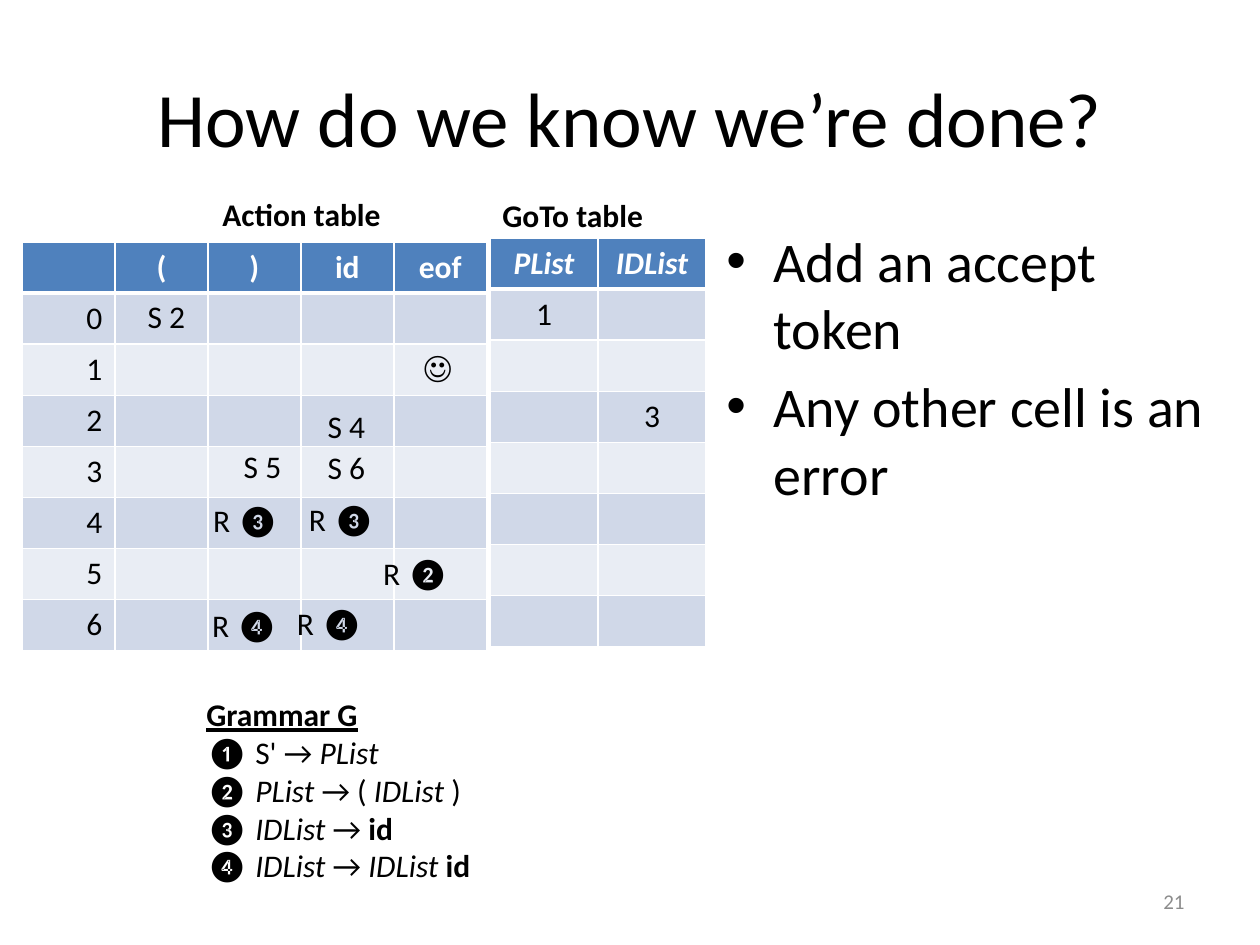
from dataclasses import dataclass

from lxml.etree import SubElement
from pptx import Presentation
from pptx.dml.color import RGBColor
from pptx.enum.text import MSO_ANCHOR as Anchor, MSO_AUTO_SIZE as AutoSize, PP_ALIGN as Align
from pptx.oxml.ns import qn
from pptx.util import Emu, Inches, Pt

PX = 914400 / 126
FONT = "Calibri"
BLACK, WHITE, GREY = "000000", "FFFFFF", "8C8C8C"
HEADER_FILL, BAND_FILLS = "4F81BD", ("D0D8E8", "E9EDF4")
ROW_HEIGHT = 51
STATES = 7


@dataclass(frozen=True)
class Run:
    """A stretch of text with its emphasis."""
    text: str
    bold: bool = False
    italic: bool = False
    underline: bool = False


@dataclass(frozen=True)
class Label:
    """A one-line text box placed in pixels."""
    run: Run
    left: int
    top: int
    width: int
    align: Align = Align.CENTER


@dataclass(frozen=True)
class ParseTable:
    """A parser table; entries map (row, column) to text."""
    left: int
    top: int
    column_width: int
    headers: tuple[Run, ...]
    entries: dict[tuple[int, int], str]
    align: Align


def px(length: int) -> Emu:
    """Turn pixels into EMU."""
    return Emu(round(length * PX))


def color(value: str) -> RGBColor:
    """Read a hex colour."""
    return RGBColor.from_string(value)


def write(paragraph, runs: tuple[Run, ...], size: int = 18, ink: str = BLACK,
          align: Align = Align.LEFT) -> None:
    """Add formatted runs to a paragraph."""
    paragraph.alignment = align
    for part in runs:
        run = paragraph.add_run()
        run.text = part.text
        font = run.font
        font.name, font.size = FONT, Pt(size)
        font.bold, font.italic, font.underline = part.bold, part.italic, part.underline
        font.color.rgb = color(ink)


def add_text(slide, left: int, top: int, width: int, height: int, wrap: bool = True):
    """Add an empty text box and return its text frame."""
    frame = slide.shapes.add_textbox(px(left), px(top), px(width), px(height)).text_frame
    frame.word_wrap = wrap
    return frame


def add_label(slide, label: Label) -> None:
    """Draw a one-line label that fits its text."""
    frame = add_text(slide, label.left, label.top, label.width, 50, wrap=False)
    frame.auto_size = AutoSize.SHAPE_TO_FIT_TEXT
    write(frame.paragraphs[0], (label.run,), align=label.align)


def add_borders(cell, bottom: int) -> None:
    """Give a cell white borders, with the bottom width in points."""
    properties = cell._tc.get_or_add_tcPr()
    for side, width in (("L", 1), ("R", 1), ("T", 1), ("B", bottom)):
        line = SubElement(properties, qn(f"a:ln{side}"), w=str(Pt(width)))
        SubElement(SubElement(line, qn("a:solidFill")), qn("a:srgbClr"), val=WHITE)


def add_parse_table(slide, spec: ParseTable) -> None:
    """Draw a header row and one banded row for each parser state."""
    columns = len(spec.headers)
    grid = slide.shapes.add_table(STATES + 1, columns, px(spec.left), px(spec.top),
                                  px(spec.column_width * columns),
                                  px(ROW_HEIGHT * (STATES + 1))).table
    for row in range(STATES + 1):
        for column in range(columns):
            cell = grid.cell(row, column)
            add_borders(cell, bottom=1 if row else 3)
            cell.fill.solid()
            cell.fill.fore_color.rgb = color(BAND_FILLS[(row - 1) % 2] if row else HEADER_FILL)
            paragraph = cell.text_frame.paragraphs[0]
            paragraph.font.size = Pt(18)
            if row == 0 and spec.headers[column].text:
                write(paragraph, (spec.headers[column],), ink=WHITE, align=Align.CENTER)
            elif (row, column) in spec.entries:
                write(paragraph, (Run(spec.entries[row, column]),), align=spec.align)


def add_bullets(slide, points: tuple[str, ...]) -> None:
    """Draw the bulleted remarks."""
    frame = add_text(slide, 714, 220, 514, 662)
    for index, point in enumerate(points):
        paragraph = frame.add_paragraph() if index else frame.paragraphs[0]
        paragraph.space_before = Pt(6.4)
        write(paragraph, (Run(point),), size=32)
        properties = paragraph._p.get_or_add_pPr()
        indent = Inches(0.375)
        properties.set("marL", str(indent))
        properties.set("indent", str(-indent))
        SubElement(properties, qn("a:buFont"), typeface="Arial")
        SubElement(properties, qn("a:buChar"), char="•")


def add_grammar(slide, lines: tuple[tuple[Run, ...], ...]) -> None:
    """Draw the grammar, one line for each rule."""
    frame = add_text(slide, 194, 689, 353, 204)
    frame.auto_size = AutoSize.SHAPE_TO_FIT_TEXT
    for index, line in enumerate(lines):
        write(frame.add_paragraph() if index else frame.paragraphs[0], line)


ACTION_TABLE = ParseTable(
    22, 242, 93, tuple(Run(token, bold=True) for token in ("", "(", ")", "id", "eof")),
    {(state + 1, 0): str(state) for state in range(STATES)}, Align.RIGHT)
GOTO_TABLE = ParseTable(
    490, 238, 108, tuple(Run(symbol, bold=True, italic=True) for symbol in ("PList", "IDList")),
    {(1, 0): "1", (3, 1): "3"}, Align.CENTER)
SHIFT_WIDTH, REDUCE_WIDTH = 63, 92
LABELS = (
    Label(Run("Action table", bold=True), 210, 189, 185, Align.LEFT),
    Label(Run("GoTo table", bold=True), 490, 190, 168, Align.LEFT),
    Label(Run("S 2"), 135, 291, SHIFT_WIDTH),
    Label(Run("S 4"), 315, 401, SHIFT_WIDTH),
    Label(Run("S 6"), 315, 442, SHIFT_WIDTH),
    Label(Run("S 5"), 231, 441, SHIFT_WIDTH),
    Label(Run("R ❸"), 200, 495, REDUCE_WIDTH),
    Label(Run("R ❸"), 296, 494, REDUCE_WIDTH),
    Label(Run("R ❷"), 370, 548, REDUCE_WIDTH),
    Label(Run("R ❹"), 199, 600, REDUCE_WIDTH),
    Label(Run("R ❹"), 284, 598, REDUCE_WIDTH),
    Label(Run("☺"), 411, 341, 52),
)
ARROW = Run("→ ")
ID_LIST = Run("IDList ", italic=True)
ID = Run("id", bold=True)
GRAMMAR = (
    (Run("Grammar G", bold=True, underline=True),),
    (Run("❶ S' → "), Run("PList", italic=True)),
    (Run("❷ "), Run("PList ", italic=True), Run("→ ( "), Run("IDList", italic=True), Run(" )")),
    (Run("❸ "), ID_LIST, ARROW, ID),
    (Run("❹ "), ID_LIST, ARROW, ID_LIST, ID),
)


def main() -> None:
    """Build and save the slide."""
    deck = Presentation()
    deck.slide_width, deck.slide_height = Inches(10), Inches(7.5)
    slide = deck.slides.add_slide(deck.slide_layouts[5])

    title = slide.shapes.title
    title.left, title.top, title.width, title.height = map(px, (63, 38, 1134, 158))
    title.text_frame.vertical_anchor = Anchor.MIDDLE
    write(title.text_frame.paragraphs[0], (Run("How do we know we’re done?"),),
          size=44, align=Align.CENTER)

    for table in (ACTION_TABLE, GOTO_TABLE):
        add_parse_table(slide, table)
    for label in LABELS:
        add_label(slide, label)
    add_bullets(slide, ("Add an accept token", "Any other cell is an error"))
    add_grammar(slide, GRAMMAR)

    page = add_text(slide, 903, 876, 294, 50)
    page.vertical_anchor = Anchor.MIDDLE
    write(page.paragraphs[0], (Run("21"),), size=12, ink=GREY, align=Align.RIGHT)
    deck.save("out.pptx")


main()
